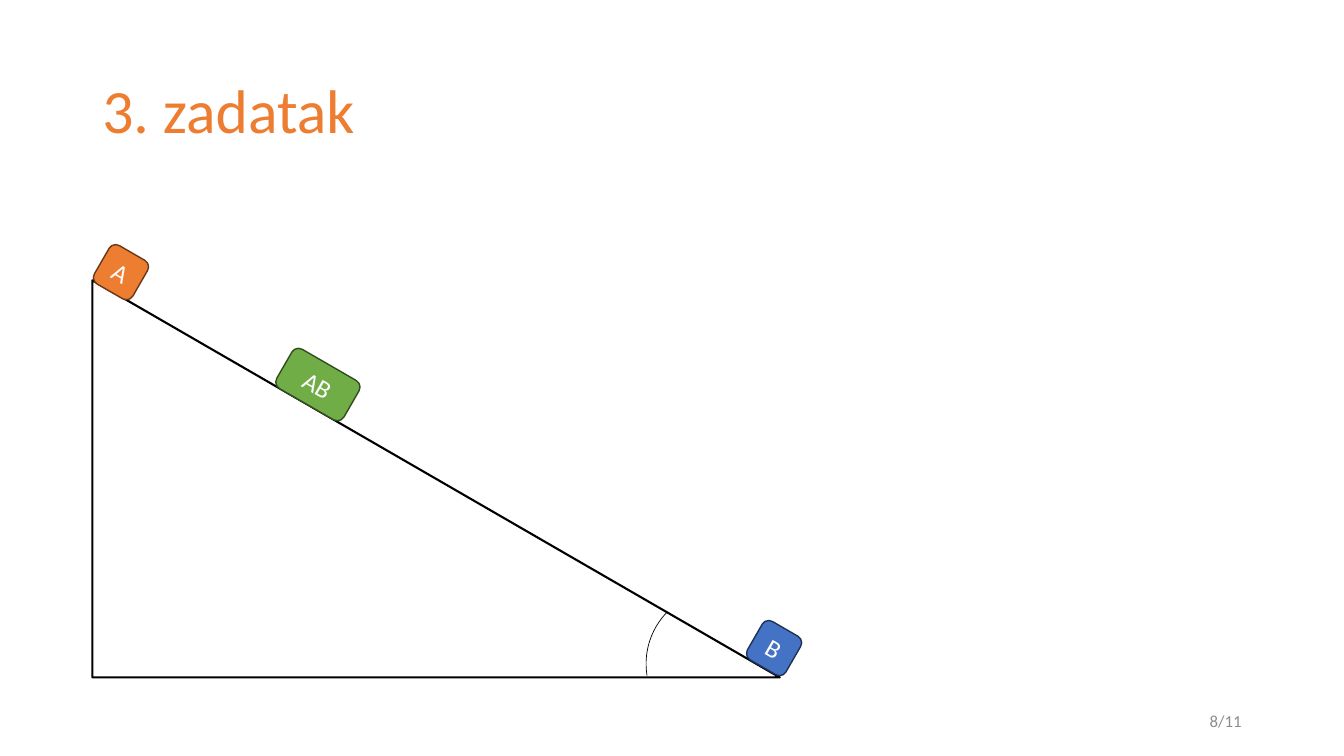
from typing import NamedTuple

from pptx import Presentation
from pptx.dml.color import RGBColor
from pptx.enum.shapes import MSO_SHAPE as Preset
from pptx.enum.text import MSO_ANCHOR as Anchor, PP_ALIGN as Align
from pptx.shapes.autoshape import Shape
from pptx.slide import Slide
from pptx.util import Pt

FONT = "Calibri"
INCLINE_ANGLE = 30
COLORS = {
    "black": "000000",
    "white": "FFFFFF",
    "orange": "ED7D31",
    "orange_edge": "683715",
    "blue": "4472C4",
    "blue_edge": "1E3256",
    "green": "70AD47",
    "green_edge": "314C1F",
    "gray": "8C8C8C",
}


class Box(NamedTuple):
    left: float
    top: float
    width: float
    height: float


class Block(NamedTuple):
    label: str
    box: Box
    color: str


class Label(NamedTuple):
    text: str
    box: Box
    size: float
    color: str
    align: Align
    line_spacing: float


LABELS = [
    Label("3. zadatak", Box(66, 28.8, 828, 104.4), 44, "orange", Align.LEFT, 0.9),
    Label("8/11", Box(678, 500.5, 216, 28.8), 12, "gray", Align.RIGHT, 1.0),
]
TRIANGLE = Box(66, 200.2, 491, 283.7)
ANGLE_ARC = Box(461.5, 421.2, 105.8, 105.8)
BLOCKS = [
    Block("B", Box(537.1, 447.1, 31.7, 31.7), "blue"),
    Block("A", Box(70.6, 178.6, 31.7, 31.7), "orange"),
    Block("AB", Box(199.4, 258.5, 55.4, 32.4), "green"),
]


def rgb(name: str) -> RGBColor:
    return RGBColor.from_string(COLORS[name])


def write_text(shape: Shape, text: str, size: float, color: str,
               align: Align, line_spacing: float = 1.0) -> None:
    frame = shape.text_frame
    frame.word_wrap = True
    frame.vertical_anchor = Anchor.MIDDLE
    paragraph = frame.paragraphs[0]
    paragraph.alignment = align
    paragraph.line_spacing = line_spacing
    run = paragraph.add_run()
    run.text = text
    run.font.name = FONT
    run.font.size = Pt(size)
    run.font.color.rgb = rgb(color)


def add_label(slide: Slide, label: Label) -> None:
    shape = slide.shapes.add_textbox(*map(Pt, label.box))
    write_text(shape, label.text, label.size, label.color,
               label.align, label.line_spacing)


def add_outline(slide: Slide, preset: Preset, box: Box,
                line_color: str, line_width: float) -> Shape:
    """Add an unfilled, shadowless preset shape."""
    shape = slide.shapes.add_shape(preset, *map(Pt, box))
    shape.shadow.inherit = False
    shape.fill.background()
    shape.line.color.rgb = rgb(line_color)
    shape.line.width = Pt(line_width)
    return shape


def add_block(slide: Slide, block: Block) -> None:
    shape = add_outline(slide, Preset.ROUNDED_RECTANGLE, block.box,
                        f"{block.color}_edge", 1)
    shape.fill.solid()
    shape.fill.fore_color.rgb = rgb(block.color)
    shape.rotation = INCLINE_ANGLE
    write_text(shape, block.label, 18, "white", Align.CENTER)


def add_angle_arc(slide: Slide) -> None:
    arc = add_outline(slide, Preset.ARC, ANGLE_ARC, "black", 0.5)
    arc.adjustments[0] = 162
    arc.adjustments[1] = 193.72
    arc.rotation = 260.9


def main() -> None:
    presentation = Presentation()
    presentation.slide_width = Pt(960)
    presentation.slide_height = Pt(540)
    slide = presentation.slides.add_slide(presentation.slide_layouts[6])
    for label in LABELS:
        add_label(slide, label)
    add_outline(slide, Preset.RIGHT_TRIANGLE, TRIANGLE, "black", 1.5)
    for block in BLOCKS:
        add_block(slide, block)
    add_angle_arc(slide)
    presentation.save("out.pptx")


if __name__ == "__main__":
    main()
